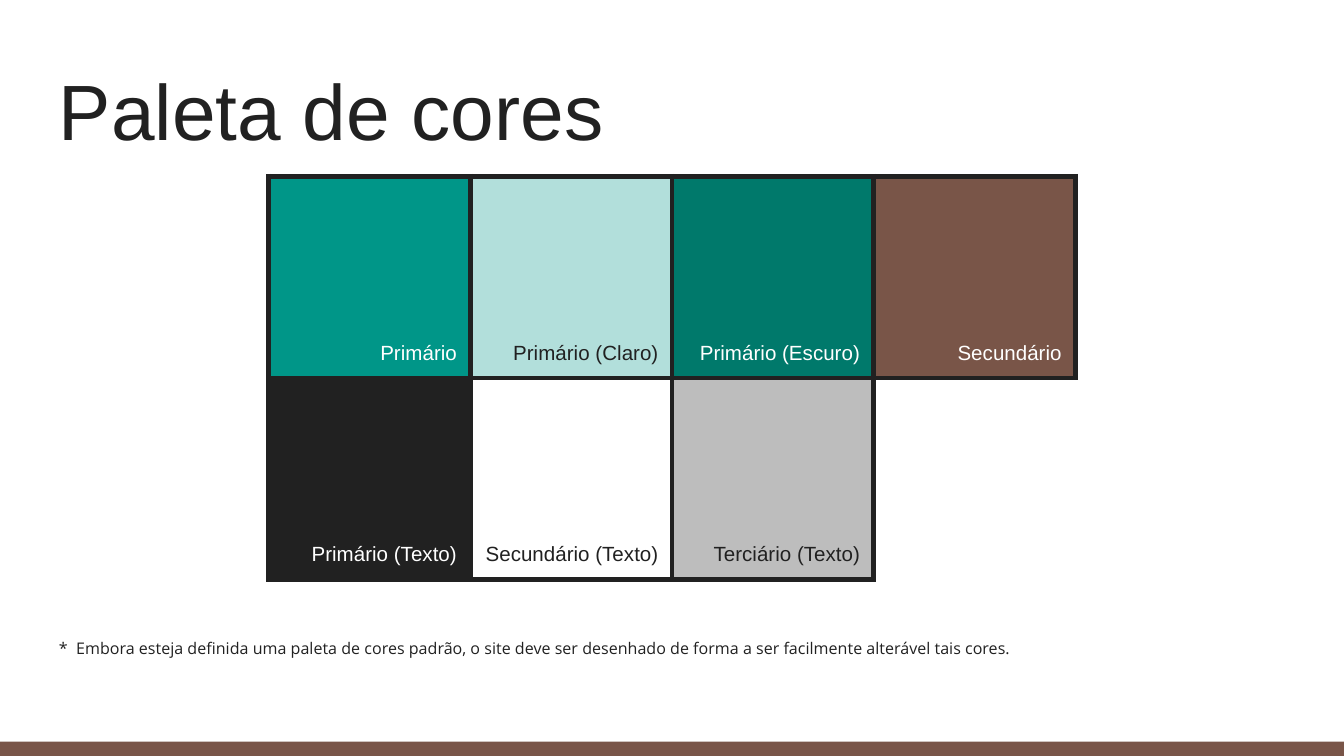
from lxml.etree import SubElement as Sub
from pptx import Presentation
from pptx.dml.color import RGBColor as Rgb
from pptx.enum.shapes import MSO_SHAPE as Shape
from pptx.enum.text import MSO_ANCHOR as Anchor, PP_ALIGN as Align
from pptx.oxml.ns import qn
from pptx.util import Pt

HEX = {
    "teal": "009688",
    "mint": "B2DFDB",
    "pine": "00796B",
    "brown": "795548",
    "ink": "212121",
    "white": "FFFFFF",
    "gray": "BDBDBD",
}
WIDE, HIGH = 720, 405
SIDE = 108  # swatch edge
PAD = 7.2

# Label, fill, text colour, sides with a border
SWATCHES = [
    [("Primário", "teal", "white", "LRTB"),
     ("Primário (Claro)", "mint", "ink", "LRTB"),
     ("Primário (Escuro)", "pine", "white", "LRTB"),
     ("Secundário", "brown", "white", "LRTB")],
    [("Primário (Texto)", "ink", "white", "LRTB"),
     ("Secundário (Texto)", "white", "ink", "LRTB"),
     ("Terciário (Texto)", "gray", "ink", "LRTB"),
     ("", "white", "ink", "LT")],
]
NOTE = ("*  Embora esteja definida uma paleta de cores padrão, o site deve ser "
        "desenhado de forma a ser facilmente alterável tais cores.")


def paint(fill, name):
    fill.solid()
    fill.fore_color.rgb = Rgb.from_string(HEX[name])


def write(frame, text, size=11, font="Arial", color="ink", align=Align.LEFT,
          line=1.0, after=0):
    par = frame.paragraphs[0]
    par.alignment = align
    par.line_spacing = line
    par.space_after = Pt(after)
    run = par.add_run()
    run.text = text
    run.font.size = Pt(size)
    run.font.name = font
    run.font.color.rgb = Rgb.from_string(HEX[color])


def add_text(slide, text, left, top, width, height, anchor=Anchor.TOP, **style):
    box = slide.shapes.add_textbox(Pt(left), Pt(top), Pt(width), Pt(height))
    frame = box.text_frame
    frame.word_wrap = True
    frame.vertical_anchor = anchor
    frame.margin_left = frame.margin_right = Pt(PAD)
    frame.margin_top = frame.margin_bottom = Pt(PAD)
    write(frame, text, **style)


def add_bar(slide, top, height, color):
    bar = slide.shapes.add_shape(Shape.RECTANGLE, 0, Pt(top), Pt(WIDE), Pt(height))
    bar.shadow.inherit = False
    paint(bar.fill, color)
    bar.line.fill.background()


def edge(cell, sides, color="ink", width=3):
    # Borders must come before the fill in the cell properties
    props = cell._tc.get_or_add_tcPr()
    for side in "LRTB":
        line = Sub(props, qn(f"a:ln{side}"), w=str(Pt(width)))
        if side in sides:
            fill = Sub(line, qn("a:solidFill"))
            Sub(fill, qn("a:srgbClr"), val=HEX[color])
        else:
            Sub(line, qn("a:noFill"))


def add_grid(slide, rows, left, top):
    count, span = len(rows), len(rows[0])
    table = slide.shapes.add_table(count, span, Pt(left), Pt(top),
                                   Pt(span * SIDE), Pt(count * SIDE)).table
    table.first_row = table.horz_banding = False
    for col in table.columns:
        col.width = Pt(SIDE)
    for y, row in enumerate(rows):
        table.rows[y].height = Pt(SIDE)
        for x, (label, fill, color, sides) in enumerate(row):
            cell = table.cell(y, x)
            edge(cell, sides)
            paint(cell.fill, fill)
            cell.vertical_anchor = Anchor.BOTTOM
            cell.margin_left = cell.margin_right = Pt(PAD)
            cell.margin_top = cell.margin_bottom = Pt(PAD)
            if label:
                write(cell.text_frame, label, color=color, align=Align.RIGHT)


def main():
    deck = Presentation()
    deck.slide_width, deck.slide_height = Pt(WIDE), Pt(HIGH)
    slide = deck.slides.add_slide(deck.slide_layouts[6])
    paint(slide.background.fill, "white")

    # Footer bar and title
    add_bar(slide, 397.3, 7.7, "brown")
    add_text(slide, "Paleta de cores", 24.5, 25.2, 671, 65.5,
             anchor=Anchor.BOTTOM, size=42)

    # Colour swatches
    add_grid(slide, SWATCHES, (WIDE - 4 * SIDE) / 2, 94.5)

    # Footnote
    add_text(slide, NOTE, 24.5, 334.8, 671, 25.9, size=8.6, font="Open Sans",
             line=1.15, after=12)

    deck.save("out.pptx")


if __name__ == "__main__":
    main()
